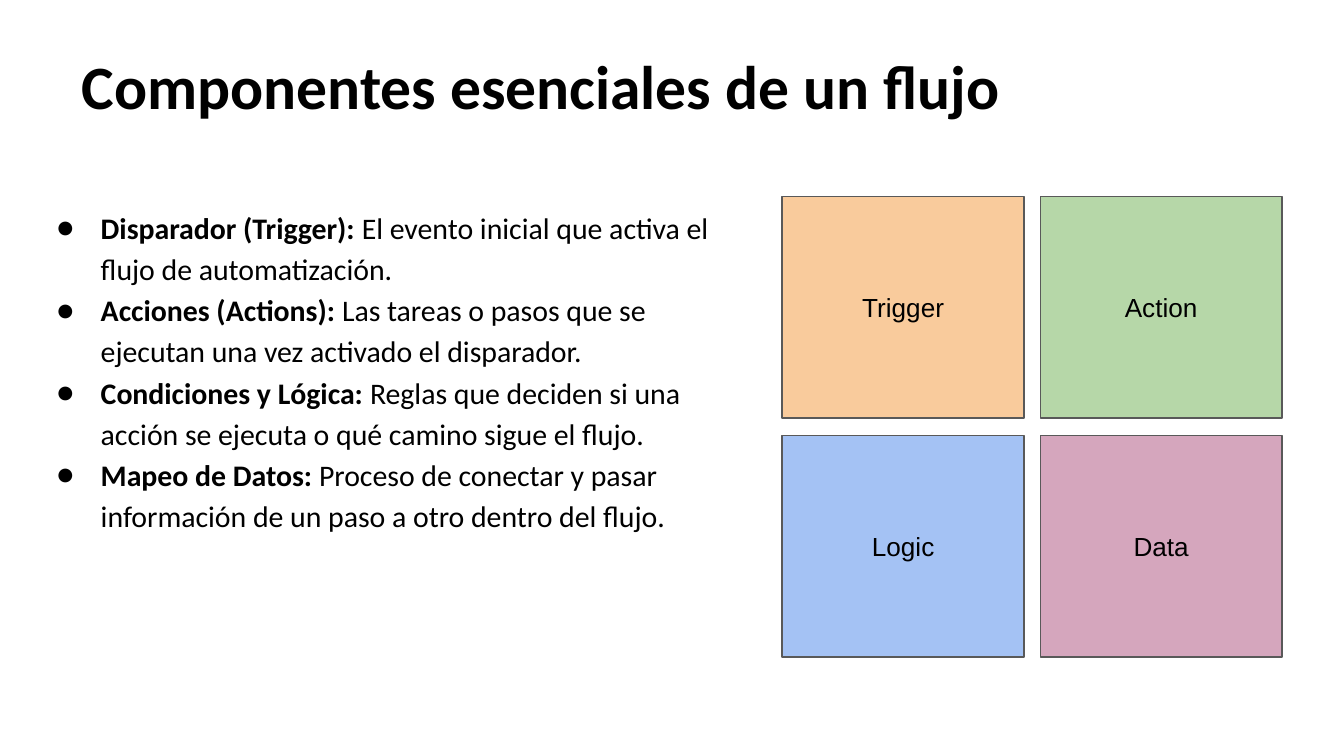
from lxml.etree import SubElement as Sub
from pptx import Presentation
from pptx.dml.color import RGBColor as RGB
from pptx.enum.shapes import MSO_SHAPE as Shape
from pptx.enum.text import MSO_ANCHOR as Anchor, PP_ALIGN as Align
from pptx.oxml.ns import qn
from pptx.util import Inches, Pt

COLORS = {
    "text": "000000",
    "line": "595959",
    "orange": "F9CB9C",
    "green": "B6D7A8",
    "blue": "A4C2F4",
    "pink": "D5A6BD",
}


class Deck:
    """Style and current slide."""
    head, label = "Calibri", "Arial"

    def __init__(self, wide, high):
        self.prs = Presentation()
        self.prs.slide_width = Inches(wide)
        self.prs.slide_height = Inches(high)
        self.slide = self.prs.slides.add_slide(self.prs.slide_layouts[6])

    def color(self, name):
        return RGB.from_string(COLORS[name])

    def style(self, run, size, face, bold=False):
        font = run.font
        font.size, font.name, font.bold = Pt(size), face, bold
        font.color.rgb = self.color("text")

    def inset(self, frame, gap):
        frame.word_wrap = True
        frame.margin_left = frame.margin_right = Inches(gap)
        frame.margin_top = frame.margin_bottom = Inches(gap)

    def box(self, area, gap):
        frame = self.slide.shapes.add_textbox(*map(Inches, area)).text_frame
        self.inset(frame, gap)
        return frame

    def title(self, text, area):
        frame = self.box(area, 0)
        frame.text = text
        para = frame.paragraphs[0]
        para.line_spacing = 0.8
        self.style(para.runs[0], 33, self.head, True)

    def bullet(self, para):
        props = para._p.get_or_add_pPr()
        props.set("marL", str(Inches(0.5)))
        props.set("indent", str(Inches(-0.33)))
        tint = Sub(props, qn("a:buClr"))
        Sub(tint, qn("a:srgbClr"), val=COLORS["text"])
        Sub(props, qn("a:buFont"), typeface=self.head)
        Sub(props, qn("a:buChar"), char="●")

    def points(self, items, area):
        frame = self.box(area, 0.02)
        for i, (term, note) in enumerate(items):
            para = frame.add_paragraph() if i else frame.paragraphs[0]
            self.bullet(para)
            para.line_spacing = 1.15
            for text, bold in ((term + " ", True), (note, False)):
                run = para.add_run()
                run.text = text
                self.style(run, 16, self.head, bold)

    def tile(self, text, fill, area):
        tile = self.slide.shapes.add_shape(Shape.RECTANGLE, *map(Inches, area))
        tile.shadow.inherit = False
        tile.fill.solid()
        tile.fill.fore_color.rgb = self.color(fill)
        tile.line.color.rgb = self.color("line")
        tile.line.width = Pt(0.75)
        frame = tile.text_frame
        self.inset(frame, 0.1)
        frame.vertical_anchor = Anchor.MIDDLE
        frame.text = text
        para = frame.paragraphs[0]
        para.alignment = Align.CENTER
        self.style(para.runs[0], 14, self.label)


def main():
    # Widescreen page, 16 by 9
    deck = Deck(10, 10 * 9 / 16)

    # Title
    deck.title("Componentes esenciales de un flujo", (0.61, 0.46, 8.99, 0.61))

    # Parts of a flow
    deck.points([
        ("Disparador (Trigger):",
         "El evento inicial que activa el flujo de automatización."),
        ("Acciones (Actions):",
         "Las tareas o pasos que se ejecutan una vez activado el disparador."),
        ("Condiciones y Lógica:",
         "Reglas que deciden si una acción se ejecuta o qué camino sigue "
         "el flujo."),
        ("Mapeo de Datos:",
         "Proceso de conectar y pasar información de un paso a otro dentro "
         "del flujo."),
    ], (0.23, 1.5, 5.2, 3.3))

    # Two by two grid of tiles
    left, top, wide, high = 5.82, 1.46, 1.8, 1.65
    tiles = [("Trigger", "orange"), ("Action", "green"),
             ("Logic", "blue"), ("Data", "pink")]
    for i, (text, fill) in enumerate(tiles):
        row, col = divmod(i, 2)
        area = (left + col * (wide + 0.12), top + row * (high + 0.13),
                wide, high)
        deck.tile(text, fill, area)

    deck.prs.save("out.pptx")


if __name__ == "__main__":
    main()
